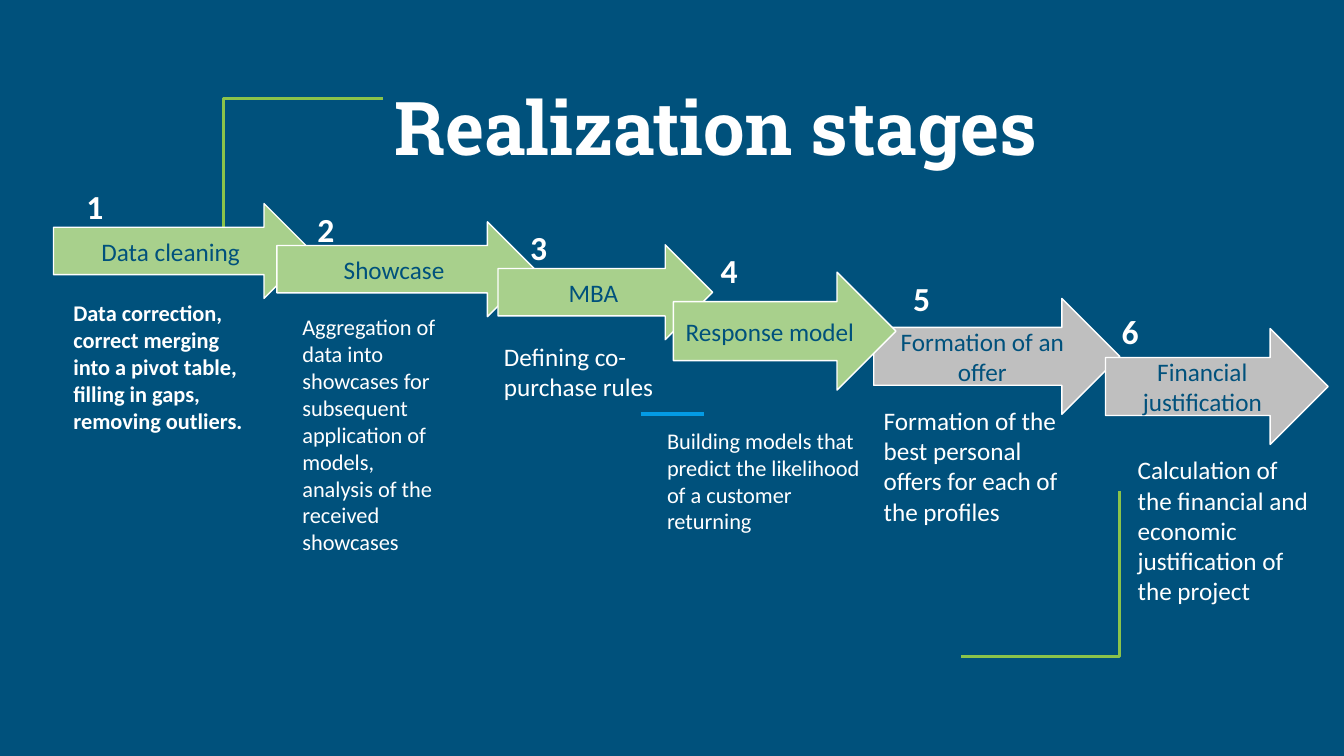
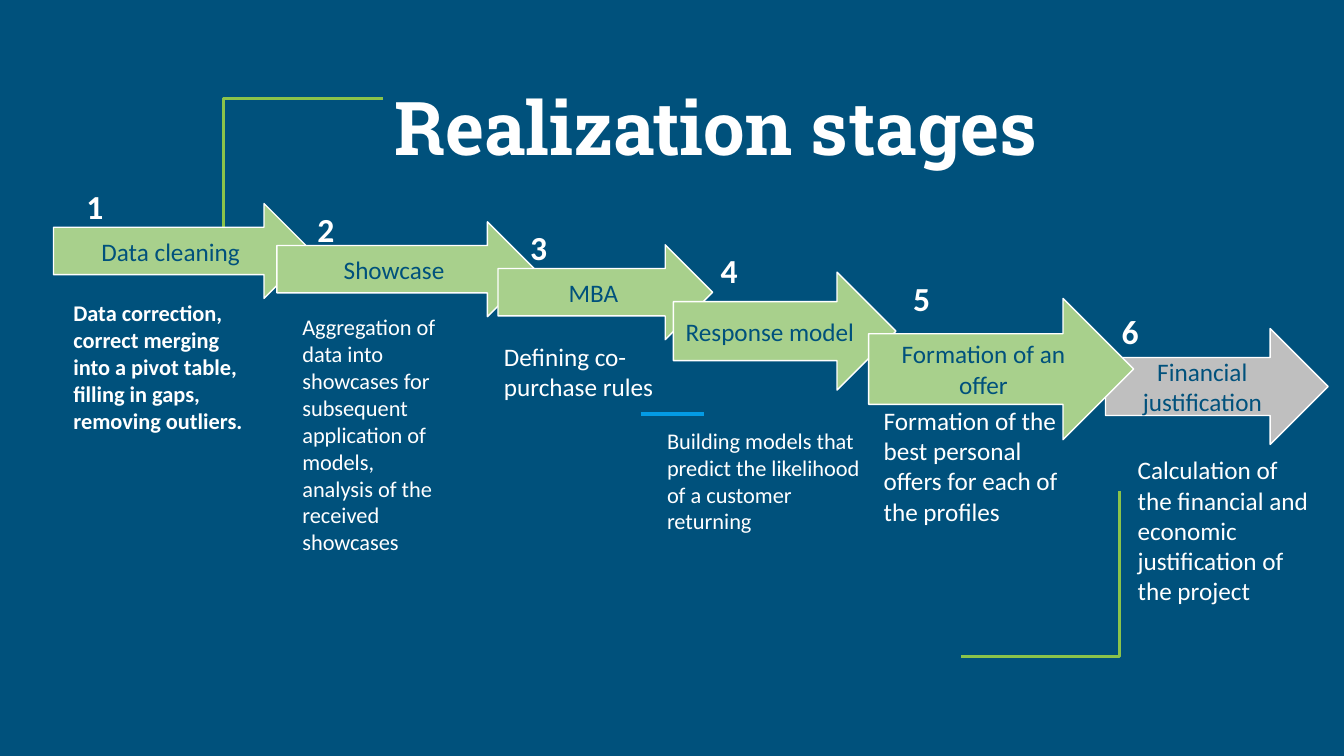
"""Build two slides that show the realization stages as a staircase of arrows."""
from lxml import etree
from pptx import Presentation
from pptx import util as u
from pptx.dml.color import RGBColor
from pptx.enum import shapes, text
from pptx.oxml.ns import qn

HUES = {"back": "00517C", "white": "FFFFFF", "done": "A8D08C",
        "todo": "BFBFBF", "frame": "8BC34A", "dash": "039BE5"}
TITLE = "Realization stages"
HEAD = {"name": "Roboto Slab", "size": u.Pt(53), "bold": True}
LABEL = {"name": "Calibri", "size": u.Pt(18), "bold": False}
DIGIT = {"name": "Calibri", "size": u.Pt(24), "bold": True}
NOTE = {"name": "Calibri", "bold": False}

STAGES = [
    {"name": "Data cleaning", "arrow": (1.35, 5.13, 6.5, 2.39),
     "digit": (1.93, 4.55), "box": (1.6, 6.73, 4.83, 4.37),
     "note": "Data correction, correct merging into a pivot table, "
             "filling in gaps, removing outliers.",
     "font": {"size": u.Pt(16), "bold": True}, "inset": 0.81},
    {"name": "Showcase", "arrow": (6.98, 5.59, 6.5, 2.39),
     "digit": (7.75, 5.13), "box": (7.37, 7.77, 4.14, 6.4),
     "note": "Aggregation of data into showcases for subsequent application "
             "of models, analysis of the received showcases",
     "font": {"size": u.Pt(16)}},
    {"name": "MBA", "arrow": (12.55, 6.17, 5.41, 2.39),
     "digit": (13.11, 5.59), "box": (12.45, 8.46, 4.39, 2.57),
     "note": "Defining co-purchase rules", "font": {"size": u.Pt(18)}},
    {"name": "Response model", "arrow": (16.97, 6.86, 5.61, 2.97),
     "digit": (17.91, 6.17), "box": (16.56, 9.86, 5.61, 3.76),
     "note": "Building models that predict the likelihood of a customer returning",
     "font": {"size": u.Pt(16)}, "inset": 0.9},
    {"name": "Formation of an offer", "arrow": (22.02, 7.52, 6.2, 2.92),
     "digit": (22.76, 6.86), "box": (22.02, 10.08, 5.18, 3.33),
     "note": "Formation of the best personal offers for each of the profiles",
     "font": {"size": u.Pt(18)}},
    {"name": "Financial justification", "arrow": (27.86, 8.28, 5.61, 2.92),
     "digit": (28.02, 7.7), "box": (28.42, 11.33, 4.83, 4.11),
     "note": "Calculation of the financial and economic justification of the project",
     "font": {"size": u.Pt(18)}},
]
SLIDES = [
    {"done": 4, "order": (1, 2, 3, 5, 6, 4), "moved": {}},
    {"done": 5, "order": (1, 2, 3, 6, 4, 5),
     "moved": {5: (21.89, 7.52, 6.68, 3.56)}},
]
FRAMES = [
    [(5.64, 6.65), (5.64, 2.49), (9.65, 2.49)],
    [(28.22, 12.37), (28.22, 16.54), (24.21, 16.54)],
]
DASH = (16.15, 10.44, 17.73, 10.44)


def cms(nums):
    return [u.Cm(num) for num in nums]


def hue(key):
    return RGBColor.from_string(HUES[key])


def write(frame, words, font, tint, align):
    para = frame.paragraphs[0]
    para.alignment = align
    run = para.add_run()
    run.text = words
    for key, val in font.items():
        setattr(run.font, key, val)
    run.font.color.rgb = hue(tint)
    return para


def edge(line, tint, width):
    line.color.rgb = hue(tint)
    line.width = u.Pt(width)


def add_title(slide):
    title = slide.shapes.title
    title.left, title.top, title.width, title.height = cms((4.24, 0.89, 26.31, 3.56))
    frame = title.text_frame
    frame.auto_size = text.MSO_AUTO_SIZE.NONE
    frame.vertical_anchor = text.MSO_ANCHOR.BOTTOM
    frame.margin_left = u.Cm(1.56)
    para = write(frame, TITLE, HEAD, "white", text.PP_ALIGN.CENTER)
    para.line_spacing = 0.9


def add_arrow(slide, words, place, tint):
    arrow = slide.shapes.add_shape(shapes.MSO_SHAPE.RIGHT_ARROW, *cms(place))
    arrow.shadow.inherit = False
    arrow.fill.solid()
    arrow.fill.fore_color.rgb = hue(tint)
    edge(arrow.line, "white", 1)
    write(arrow.text_frame, words, LABEL, "back", text.PP_ALIGN.CENTER)


def add_text(slide, words, place, font, inset=0.13):
    frame = slide.shapes.add_textbox(*cms(place)).text_frame
    frame.word_wrap = True
    frame.auto_size = text.MSO_AUTO_SIZE.SHAPE_TO_FIT_TEXT
    frame.margin_top = u.Cm(inset)
    write(frame, words, font, "white", text.PP_ALIGN.LEFT)


def add_frame(slide, layout):
    """Draw the shared lines and move them to the layout."""
    parts = []
    for points in FRAMES:
        start, *rest = [cms(point) for point in points]
        pen = slide.shapes.build_freeform(*start)
        pen.add_line_segments(rest, close=False)
        bend = pen.convert_to_shape()
        bend.shadow.inherit = False
        bend.fill.background()
        edge(bend.line, "frame", 2.25)
        parts.append(bend)
    dash = slide.shapes.add_connector(shapes.MSO_CONNECTOR.STRAIGHT, *cms(DASH))
    edge(dash.line, "dash", 3)
    etree.SubElement(dash.element.spPr, qn("a:effectLst"))
    for part in parts + [dash]:
        layout.shapes.element.append(part.element)


def add_stages(slide, plan):
    for num in plan["order"]:
        stage = STAGES[num - 1]
        tint = "done" if num <= plan["done"] else "todo"
        add_arrow(slide, stage["name"], plan["moved"].get(num, stage["arrow"]), tint)
    for num, stage in enumerate(STAGES, 1):
        add_text(slide, str(num), (*stage["digit"], 0.84, 1.27), DIGIT)
        add_text(slide, stage["note"], stage["box"], NOTE | stage["font"],
                 stage.get("inset", 0.13))


def main():
    deck = Presentation()
    deck.slide_width, deck.slide_height = cms((33.87, 19.05))
    fill = deck.slide_master.background.fill
    fill.solid()
    fill.fore_color.rgb = hue("back")
    layout = deck.slide_layouts[5]
    for num, plan in enumerate(SLIDES):
        slide = deck.slides.add_slide(layout)
        if num == 0:
            add_frame(slide, layout)
        add_title(slide)
        add_stages(slide, plan)
    deck.save("out.pptx")


if __name__ == "__main__":
    main()
